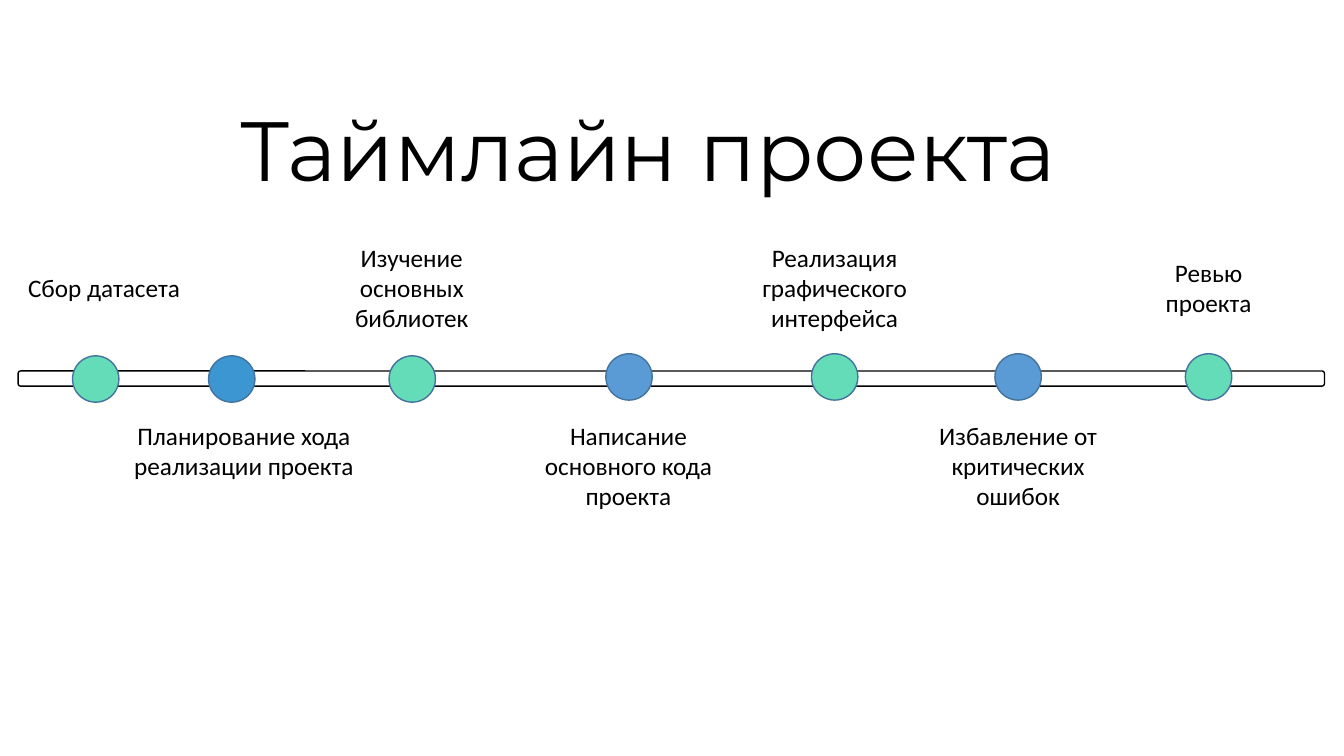
from pptx import Presentation
from pptx.dml.color import RGBColor
from pptx.enum.shapes import MSO_SHAPE as Preset
from pptx.enum.text import MSO_AUTO_SIZE as AutoSize, PP_ALIGN as Align
from pptx.util import Inches, Pt

WIDTH, HEIGHT = Inches(13.33), Inches(7.5)
COLORS = {
    "text": "000000", "bar": "FFFFFF", "bar_line": "000000",
    "dot_line": "43739E", "green": "65DCB8", "deep_blue": "3B96D2",
    "blue": "5B9BD5",
}

# Lengths are in a grid of 100 columns by 100 rows
DOT_WIDTH, DOT_HEIGHT = 3.45, 6.13
LABEL_PADDING, LABEL_LINE = 1.33, 4.04
UPPER_CENTER, LOWER_TOP = 38.07, 54.93

# Dot left, dot top, dot colour, label left, label width, label lines, label
STAGES = [
    (5.4, 47.07, "green", 1.35, 19.58, 1, "Сбор датасета"),
    (15.52, 47.07, "deep_blue", 7.35, 21.6, 2, "Планирование хода реализации проекта"),
    (28.95, 47.07, "green", 22.43, 16.42, 3, "Изучение основных библиотек"),
    (45.08, 46.8, "blue", 38.4, 16.73, 3, "Написание основного кода проекта"),
    (60.38, 46.8, "green", 54.15, 15.9, 3, "Реализация графического интерфейса"),
    (74.03, 46.8, "blue", 67.58, 16.35, 3, "Избавление от критических ошибок"),
    (88.2, 46.8, "green", 84.45, 10.95, 2, "Ревью проекта"),
]


def color(key):
    return RGBColor.from_string(COLORS[key])


def grid(left, top, width, height):
    return (int(WIDTH * left / 100), int(HEIGHT * top / 100),
            int(WIDTH * width / 100), int(HEIGHT * height / 100))


def apply(target, formats):
    for attribute, value in formats.items():
        setattr(target, attribute, value)


def add_figure(slide, preset, area, fill, line):
    figure = slide.shapes.add_shape(preset, *grid(*area))
    figure.shadow.inherit = False
    figure.fill.solid()
    figure.fill.fore_color.rgb = color(fill)
    figure.line.color.rgb = color(line)
    figure.line.width = Pt(1)


def add_text(slide, area, text, font, size, align=Align.LEFT):
    frame = slide.shapes.add_textbox(*grid(*area)).text_frame
    apply(frame, {"word_wrap": True, "auto_size": AutoSize.SHAPE_TO_FIT_TEXT})
    paragraph = frame.paragraphs[0]
    paragraph.alignment = align
    run = paragraph.add_run()
    run.text = text
    apply(run.font, {"name": font, "size": Pt(size)})
    run.font.color.rgb = color("text")


def add_label(slide, index, left, width, lines, text):
    height = LABEL_PADDING + LABEL_LINE * lines
    # Labels alternate above and below the bar
    top = LOWER_TOP if index % 2 else UPPER_CENTER - height / 2
    align = Align.CENTER if index else Align.LEFT
    add_text(slide, (left, top, width, height), text, "Calibri", 18, align)


def main():
    deck = Presentation()
    apply(deck, {"slide_width": WIDTH, "slide_height": HEIGHT})
    slide = deck.slides.add_slide(deck.slide_layouts[6])

    # Title
    add_text(slide, (17.18, 12.27, 74.4, 14.8), "Таймлайн проекта", "Montserrat", 60)

    # Timeline bar
    add_figure(slide, Preset.ROUNDED_RECTANGLE, (1.35, 49.07, 97.2, 2), "bar", "bar_line")

    # Stages
    for index, (dot_left, dot_top, fill, *label) in enumerate(STAGES):
        dot_area = (dot_left, dot_top, DOT_WIDTH, DOT_HEIGHT)
        add_figure(slide, Preset.OVAL, dot_area, fill, "dot_line")
        add_label(slide, index, *label)

    deck.save("out.pptx")


if __name__ == "__main__":
    main()
